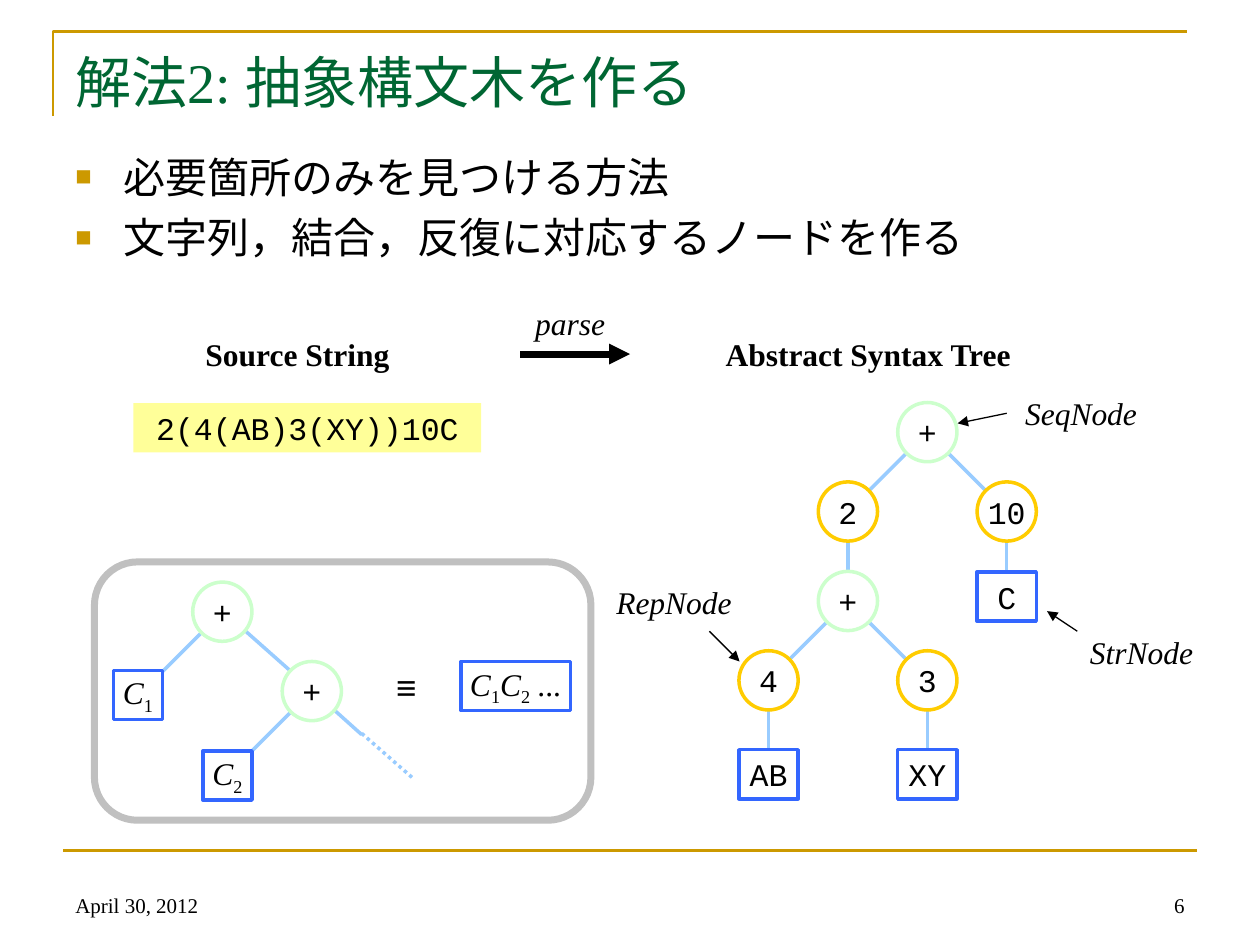
"""Build the slide on turning a compressed string into an abstract syntax tree."""
import pptx
import pptx.dml.color
import pptx.enum.dml
import pptx.enum.lang
import pptx.enum.shapes
import pptx.enum.text
import pptx.oxml
import pptx.oxml.ns
import pptx.util
from pptx.util import Inches

RGBColor = pptx.dml.color.RGBColor
GOLD = RGBColor(0xCC, 0x99, 0x00)
GREEN = RGBColor(0x00, 0x66, 0x33)
BLACK = RGBColor(0x00, 0x00, 0x00)
WHITE = RGBColor(0xFF, 0xFF, 0xFF)
YELLOW = RGBColor(0xFF, 0xFF, 0x99)
BRANCH = RGBColor(0x99, 0xCC, 0xFF)
SEQ = RGBColor(0xCC, 0xFF, 0xCC)
REP = RGBColor(0xFF, 0xCC, 0x00)
STR = RGBColor(0x33, 0x66, 0xFF)
GRAY = RGBColor(0xC0, 0xC0, 0xC0)

SERIF, SANS, MONO = "Times New Roman", "Arial", "Courier New"
KIND = pptx.enum.shapes.MSO_SHAPE
ALIGN = pptx.enum.text.PP_ALIGN
ANCHOR = pptx.enum.text.MSO_ANCHOR
JAPANESE = pptx.enum.lang.MSO_LANGUAGE_ID.JAPANESE


def add_line(parent, start, end, color, width, arrow=False):
    connector = parent.add_connector(
        pptx.enum.shapes.MSO_CONNECTOR.STRAIGHT, *map(Inches, start + end))
    connector.line.color.rgb = color
    connector.line.width = pptx.util.Pt(width)
    properties = connector._element.spPr
    properties.append(pptx.oxml.parse_xml(
        f'<a:effectLst {pptx.oxml.ns.nsdecls("a")}/>'))
    if arrow:
        connector.line._get_or_add_ln().append(pptx.oxml.parse_xml(
            f'<a:tailEnd {pptx.oxml.ns.nsdecls("a")} type="triangle"/>'))
    return connector


def add_label(parent, box, runs, font=SERIF, size=18, kind=None, fill=None, line=None,
              bold=False, italic=False, color=BLACK, align=ALIGN.CENTER,
              anchor=ANCHOR.MIDDLE, wrap=False):
    if kind is None:
        label = parent.add_textbox(*map(Inches, box))
    else:
        label = parent.add_shape(kind, *map(Inches, box))
        label.shadow.inherit = False
        if fill is None:
            label.fill.background()
        else:
            label.fill.solid()
            label.fill.fore_color.rgb = fill
        if line is None:
            label.line.fill.background()
        else:
            label.line.color.rgb = line
            label.line.width = pptx.util.Pt(2)
    frame = label.text_frame
    frame.word_wrap = wrap
    frame.vertical_anchor = anchor
    frame.paragraphs[0].alignment = align
    for text in runs:
        run = frame.paragraphs[0].add_run()
        run.text = text
        run.font.name = font
        run.font.size = pptx.util.Pt(size)
        run.font.color.rgb = color
        run.font.bold = bold
        subscript = len(runs) > 1 and text.isdigit()
        run.font.italic = italic and not subscript
        if subscript:
            run.font._element.set("baseline", "-25000")
    return label


deck = pptx.Presentation()
deck.slide_width, deck.slide_height = Inches(10), Inches(7.5)
slide = deck.slides.add_slide(deck.slide_layouts[6])
shapes = slide.shapes

corner = shapes.build_freeform(Inches(0.42), Inches(0.92))
corner.add_line_segments(
    [(Inches(0.42), Inches(0.25)), (Inches(9.42), Inches(0.25))], close=False)
title_rule = corner.convert_to_shape()
title_rule.shadow.inherit = False
title_rule.fill.background()
title_rule.line.color.rgb = GOLD
title_rule.line.width = pptx.util.Pt(1.5)
add_line(shapes, (0.5, 6.75), (9.5, 6.75), GOLD, 1.5)

title = add_label(shapes, (0.5, 0.3, 9, 0.69), ["解法2: 抽象構文木を作る"], size=32,
                  color=GREEN, align=ALIGN.LEFT, wrap=True)
title.text_frame.paragraphs[0].runs[0].font.language_id = JAPANESE

points = shapes.add_textbox(Inches(0.5), Inches(1.15), Inches(9), Inches(1.2)).text_frame
points.word_wrap = True
for index, text in enumerate(["必要箇所のみを見つける方法",
                              "文字列，結合，反復に対応するノードを作る"]):
    point = points.add_paragraph() if index else points.paragraphs[0]
    if index:
        point.space_before = pptx.util.Pt(6)
    settings = point._p.get_or_add_pPr()
    settings.set("marL", str(Inches(0.38)))
    settings.set("indent", str(-Inches(0.38)))
    for bullet in (f'buClr {pptx.oxml.ns.nsdecls("a")}><a:srgbClr val="{GOLD}"/></a:buClr>',
                   f'buSzPct {pptx.oxml.ns.nsdecls("a")} val="65000"/>',
                   f'buFont {pptx.oxml.ns.nsdecls("a")} typeface="{SANS}"/>',
                   f'buChar {pptx.oxml.ns.nsdecls("a")} char="■"/>'):
        settings.append(pptx.oxml.parse_xml("<a:" + bullet))
    run = point.add_run()
    run.text = text
    run.font.name = SANS
    run.font.size = pptx.util.Pt(24)
    run.font.color.rgb = BLACK
    run.font.language_id = JAPANESE

add_label(shapes, (1.06, 3.2, 2.76, 0.39), ["2(4(AB)3(XY))10C"], MONO,
          kind=KIND.RECTANGLE, fill=YELLOW)

NODE, LEAF = 0.47, 0.39
columns = [6.1, 6.73, 7.36, 7.99]
rows = [3.43, 4.06, 4.77, 5.4, 6.11]
tree = shapes.add_group_shape().shapes
branches = [((0, 3), (0, 4)), ((2, 3), (2, 4)), ((0, 3), (1, 2)), ((1, 2), (2, 3)),
            ((1, 2), (1, 1)), ((1, 1), (2, 0)), ((2, 0), (3, 1)), ((3, 1), (3, 2))]
for start, end in branches:
    add_line(tree, *[(columns[col], rows[row]) for col, row in (start, end)], BRANCH, 2)
for text, col, row, color in [("10", 3, 1, REP), ("4", 0, 3, REP), ("3", 2, 3, REP),
                              ("2", 1, 1, REP), ("+", 1, 2, SEQ), ("+", 2, 0, SEQ)]:
    add_label(tree, (columns[col] - NODE / 2, rows[row] - NODE / 2, NODE, NODE), [text],
              MONO, kind=KIND.OVAL, fill=WHITE, line=color)
for text, col, top in [("AB", 0, 5.95), ("XY", 2, 5.95), ("C", 3, 4.54)]:
    add_label(tree, (columns[col] - NODE / 2, top, NODE, LEAF), [text],
              MONO, kind=KIND.RECTANGLE, fill=WHITE, line=STR)

for name, left, top, start, end in [
        ("RepNode", 4.84, 4.62, (5.63, 5.01), (5.87, 5.25)),
        ("StrNode", 8.55, 5.01, (8.55, 5.01), (8.31, 4.85)),
        ("SeqNode", 8.07, 3.12, (7.99, 3.28), (7.6, 3.36))]:
    add_label(shapes, (left, top, 1.02, 0.32), [name], kind=KIND.RECTANGLE,
              fill=WHITE, italic=True)
    add_line(shapes, start, end, BLACK, 0.75, arrow=True)

add_line(shapes, (4.13, 2.81), (5, 2.81), BLACK, 4, arrow=True)
add_label(shapes, (4.13, 2.41, 0.79, 0.31), ["parse"], italic=True)
add_label(shapes, (5.63, 2.65, 2.52, 0.31), ["Abstract Syntax Tree"], bold=True)
add_label(shapes, (1.22, 2.65, 2.28, 0.31), ["Source String"], bold=True)

rule = shapes.add_group_shape().shapes
for start, end in [((1.85, 6.11), (2.48, 5.48)), ((2.87, 5.83), (2.48, 5.48)),
                   ((1.14, 5.48), (1.77, 4.85)), ((2.48, 5.48), (1.77, 4.85))]:
    add_line(rule, start, end, BRANCH, 2)
continuation = add_line(rule, (3.27, 6.17), (2.87, 5.82), BRANCH, 2)
continuation.line.dash_style = pptx.enum.dml.MSO_LINE.ROUND_DOT
for left, top, width, runs in [(3.66, 5.25, 0.87, ["C", "1", "C", "2", " ..."]),
                               (1.61, 5.96, LEAF, ["C", "2"]),
                               (0.9, 5.32, LEAF, ["C", "1"])]:
    add_label(rule, (left, top, width, LEAF), runs, kind=KIND.RECTANGLE, fill=WHITE,
              line=STR, italic=True)
for left, top in [(1.53, 4.62), (2.24, 5.25)]:
    add_label(rule, (left, top, NODE, NODE), ["+"], MONO, kind=KIND.OVAL,
              fill=WHITE, line=SEQ)
add_label(rule, (2.95, 5.25, 0.55, 0.39), ["≡"], SANS, 20)
border = add_label(rule, (0.75, 4.46, 3.94, 2.05), [], kind=KIND.ROUNDED_RECTANGLE, line=GRAY)
border.line.width = pptx.util.Pt(4)

for text, left, align in [("6", 7.17, ALIGN.RIGHT), ("April 30, 2012", 0.5, ALIGN.LEFT)]:
    add_label(shapes, (left, 6.83, 2.33, 0.5), [text], size=12, align=align,
              anchor=ANCHOR.BOTTOM, wrap=True)

deck.save("out.pptx")
